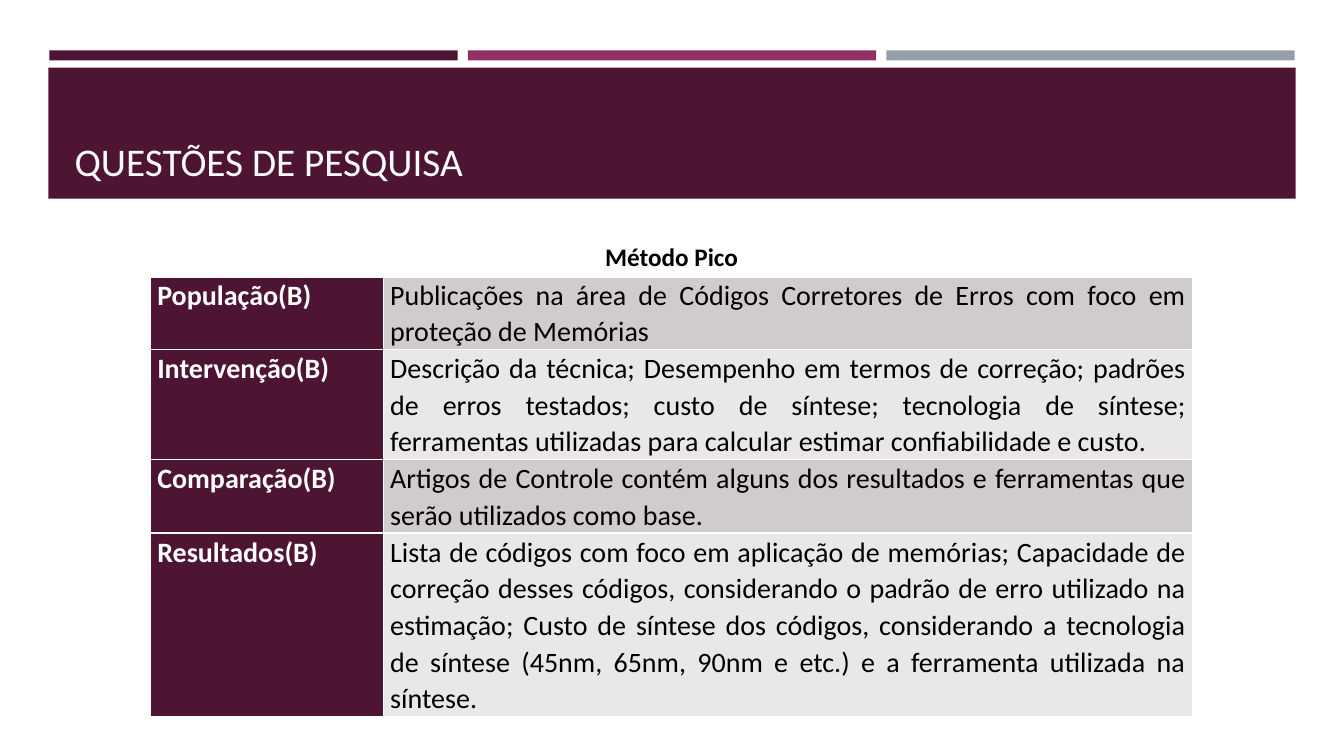
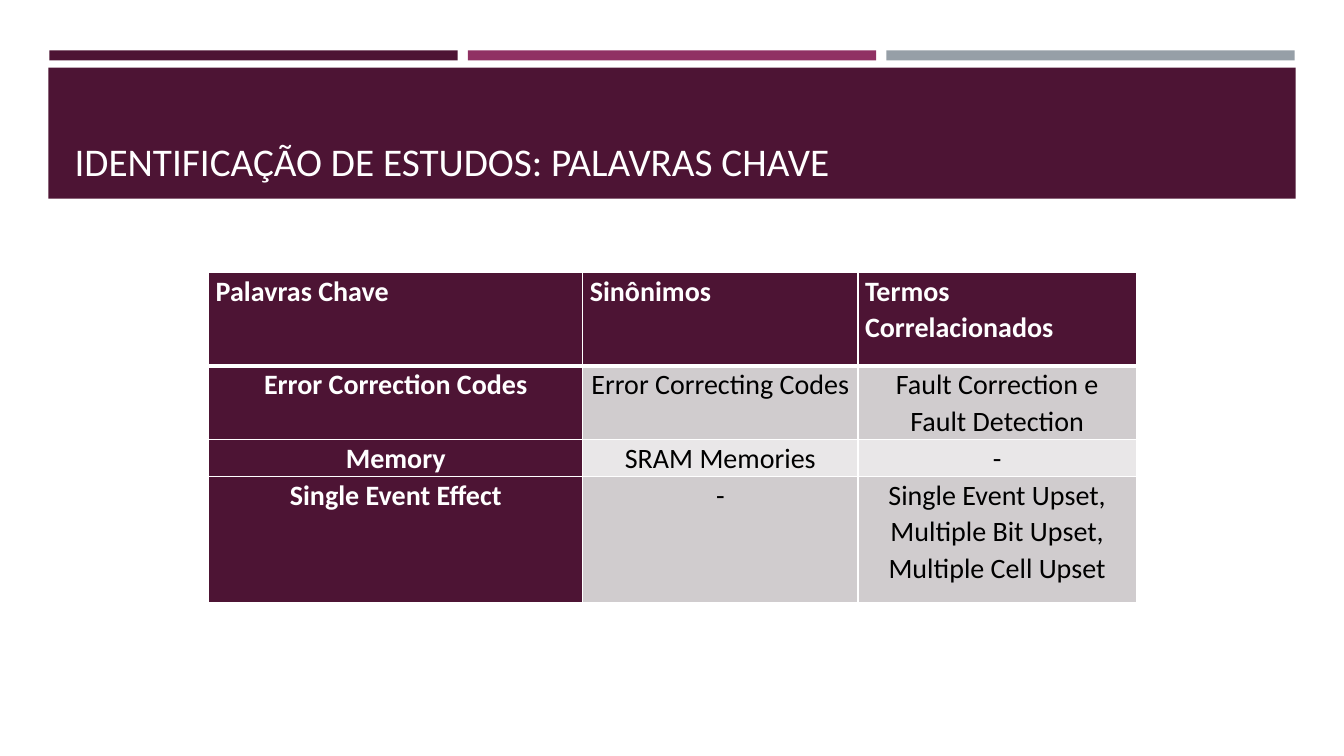
from lxml import etree
from pptx import Presentation
from pptx.dml.color import RGBColor
from pptx.enum.shapes import MSO_SHAPE as Shape
from pptx.enum.text import MSO_ANCHOR as Anchor, PP_ALIGN as Align
from pptx.oxml.ns import qn
from pptx.util import Inches, Pt

FONT = "Calibri"
PLUM, MAGENTA, GREY = "4D1434", "903163", "969FA7"
WHITE, BLACK = "FFFFFF", "000000"
BANDS = ["D0CCCE", "E9E7E8"]

STRIP_LEFT, STRIP_TOP, STRIP_WIDTH, STRIP_HEIGHT, STRIP_GAP = 0.49, 0.5, 4.05, 0.1, 0.1
TITLE_BAND = (0.48, 0.67, 12.37, 1.3)
TITLE_BOX = (0.64, 0.77, 12.06, 1.11)

SLIDES = [
    {
        "title": "QUESTÕES DE PESQUISA",
        "at": (1.49, 2.41),
        "columns": [2.31, 8.03],
        "heights": [0.33, 0.72, 1.09, 0.72, 1.82],
        "align": Align.JUSTIFY,
        "caption": True,
        "rows": [
            ("Método Pico", ""),
            ("População(B)",
             "Publicações na área de Códigos Corretores de Erros com foco em "
             "proteção de Memórias"),
            ("Intervenção(B)",
             "Descrição da técnica; Desempenho em termos de correção; padrões de "
             "erros testados; custo de síntese; tecnologia de síntese; ferramentas "
             "utilizadas para calcular estimar confiabilidade e custo."),
            ("Comparação(B)",
             "Artigos de Controle contém alguns dos resultados e ferramentas que "
             "serão utilizados como base."),
            ("Resultados(B)",
             "Lista de códigos com foco em aplicação de memórias; Capacidade de "
             "correção desses códigos, considerando o padrão de erro utilizado na "
             "estimação; Custo de síntese dos códigos, considerando a tecnologia de "
             "síntese (45nm, 65nm, 90nm e etc.) e a ferramenta utilizada na síntese."),
        ],
    },
    {
        "title": "IDENTIFICAÇÃO DE ESTUDOS: PALAVRAS CHAVE",
        "at": (2.07, 2.7),
        "columns": [3.71, 2.73, 2.76],
        "heights": [0.93, 0.73, 0.36, 1.25],
        "align": Align.CENTER,
        "caption": False,
        "rows": [
            ("Palavras Chave", "Sinônimos", "Termos Correlacionados"),
            ("Error Correction Codes", "Error Correcting Codes",
             "Fault Correction e Fault Detection"),
            ("Memory", "SRAM Memories", "-"),
            ("Single Event Effect", "-",
             "Single Event Upset, Multiple Bit Upset, Multiple Cell Upset"),
        ],
    },
]


def rgb(value):
    return RGBColor.from_string(value)


def place(shape, box):
    shape.left, shape.top, shape.width, shape.height = map(Inches, box)


def style(para, size, color, align, bold=False):
    para.alignment = align
    para.font.name = FONT
    para.font.size = Pt(size)
    para.font.bold = bold
    para.font.color.rgb = rgb(color)


def prepare_layout(layout, slide):
    title = next(iter(layout.placeholders))
    place(title, TITLE_BOX)
    title.text_frame.vertical_anchor = Anchor.BOTTOM
    bars = [
        ((STRIP_LEFT + i * (STRIP_WIDTH + STRIP_GAP), STRIP_TOP, STRIP_WIDTH, STRIP_HEIGHT), color)
        for i, color in enumerate([PLUM, MAGENTA, GREY])
    ]
    bars.append((TITLE_BAND, PLUM))
    for position, (box, color) in enumerate(bars, start=2):
        bar = slide.shapes.add_shape(Shape.RECTANGLE, *map(Inches, box))
        bar.shadow.inherit = False
        bar.fill.solid()
        bar.fill.fore_color.rgb = rgb(color)
        bar.line.fill.background()
        layout.shapes.element.insert(position, bar.element)


def add_borders(cell, top, bottom):
    properties = cell._tc.get_or_add_tcPr()
    for side, points in (("L", 1), ("R", 1), ("T", top), ("B", bottom)):
        line = etree.SubElement(properties, qn(f"a:ln{side}"), w=str(Pt(points)))
        fill = etree.SubElement(line, qn("a:solidFill"))
        etree.SubElement(fill, qn("a:srgbClr"), val=WHITE)


def fill_cell(cell, text, row, column, content):
    header = row == 0
    caption = header and content["caption"]
    label = header or column == 0
    add_borders(cell, 3 if row == 1 else 1, 3 if header else 1)
    cell.fill.solid()
    background = WHITE if caption else PLUM if label else BANDS[(row - 1) % 2]
    cell.fill.fore_color.rgb = rgb(background)
    cell.margin_left = cell.margin_right = Inches(0.07)
    cell.margin_top = cell.margin_bottom = 0
    cell.text = text
    para = cell.text_frame.paragraphs[0]
    if caption:
        style(para, 18, BLACK, Align.CENTER, True)
        return
    align = Align.JUSTIFY if header else content["align"]
    style(para, 20, WHITE if label else BLACK, align, label)
    para.line_spacing = 1.07
    para.space_after = Pt(6)


def add_content_table(slide, content):
    rows, columns, heights = content["rows"], content["columns"], content["heights"]
    box = (*content["at"], sum(columns), sum(heights))
    table = slide.shapes.add_table(len(rows), len(columns), *map(Inches, box)).table
    table.horz_banding = False
    table.first_col = True
    for column, width in zip(table.columns, columns):
        column.width = Inches(width)
    for row, height in zip(table.rows, heights):
        row.height = Inches(height)
    for i, texts in enumerate(rows):
        for j, text in enumerate(texts):
            fill_cell(table.cell(i, j), text, i, j, content)
    if content["caption"]:
        table.cell(0, 0).merge(table.cell(0, len(columns) - 1))


def main():
    deck = Presentation()
    deck.slide_width, deck.slide_height = Inches(13.33), Inches(7.5)
    layout = deck.slide_layouts[5]
    for number, content in enumerate(SLIDES):
        slide = deck.slides.add_slide(layout)
        if number == 0:
            prepare_layout(layout, slide)
        slide.shapes.title.text = content["title"]
        style(slide.shapes.title.text_frame.paragraphs[0], 28, WHITE, Align.LEFT)
        add_content_table(slide, content)
    deck.save("out.pptx")


if __name__ == "__main__":
    main()
